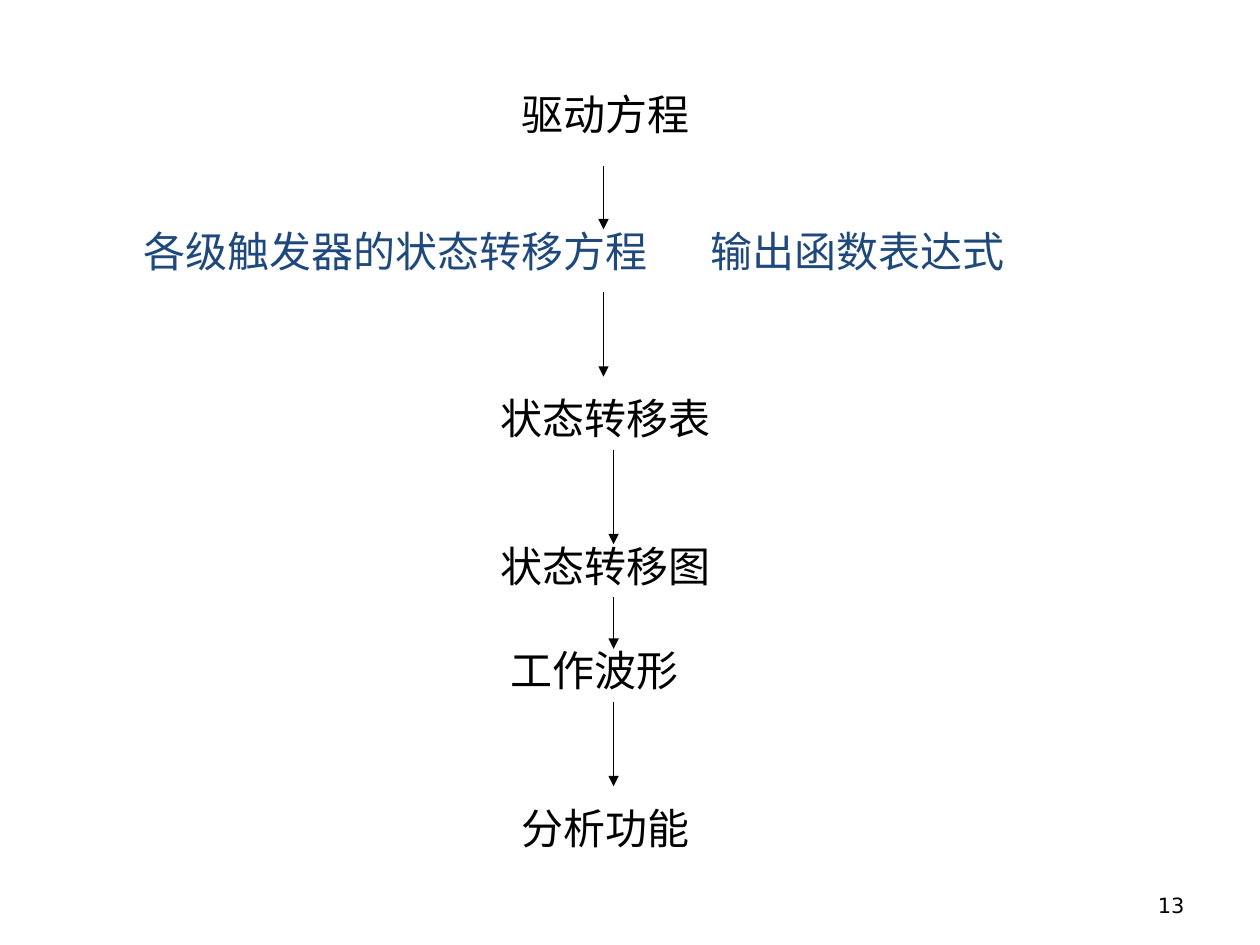
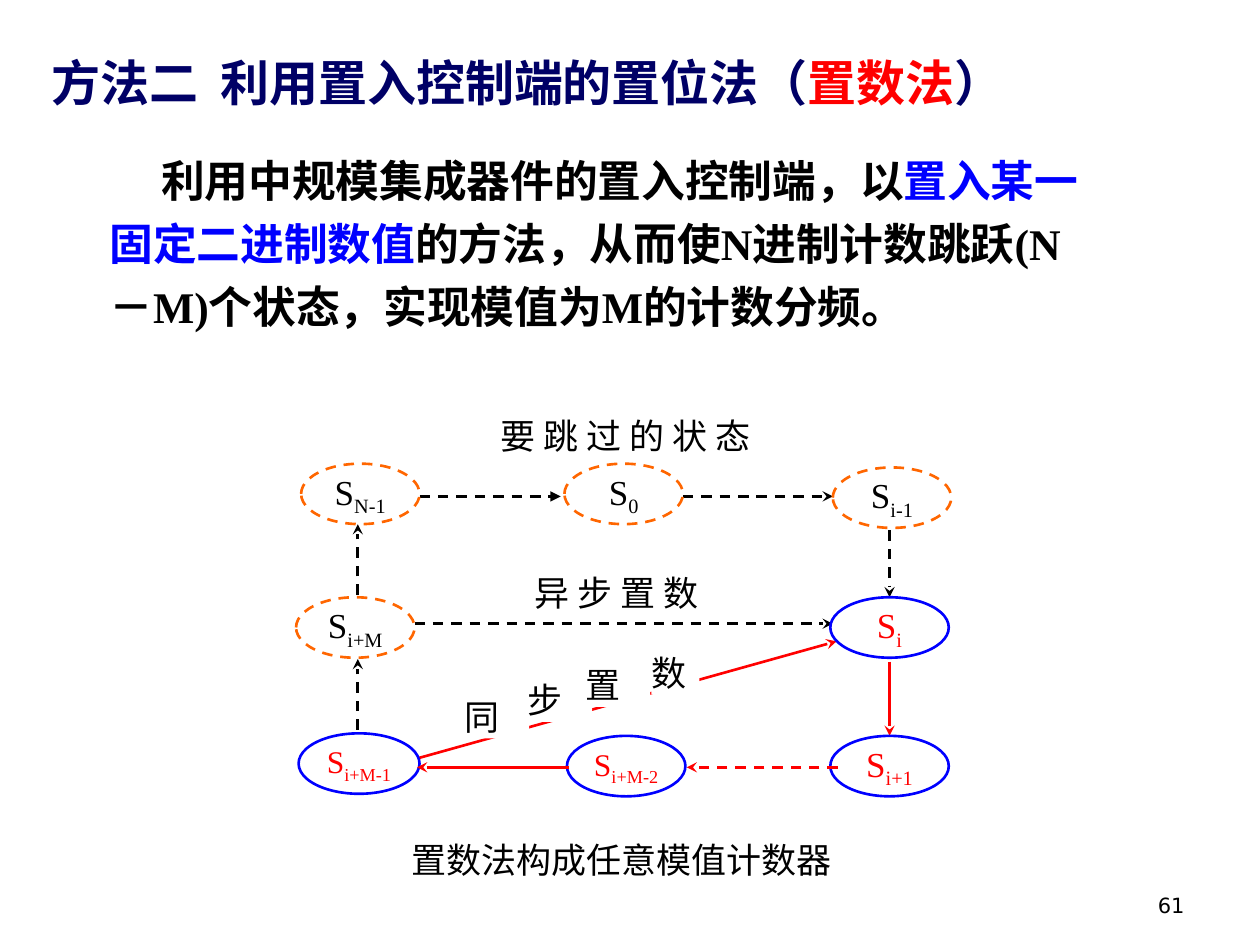
"""Build two slides on analysing counters and making them by parallel loading."""
from dataclasses import dataclass

import pptx
import pptx.dml.color
import pptx.enum.dml
import pptx.enum.shapes
import pptx.enum.text
import pptx.oxml
import pptx.oxml.ns
import pptx.util
from pptx.util import Inches

COLORS = {
    "black": "000000", "white": "FFFFFF", "slate": "1F497D", "navy": "000066",
    "red": "FF0000", "blue": "0000FF", "orange": "FF6600",
}
SERIF = "Times New Roman"
SANS = "DejaVu Sans"
ALIGN = pptx.enum.text.PP_ALIGN
ANCHOR = pptx.enum.text.MSO_ANCHOR
SHAPE = pptx.enum.shapes.MSO_SHAPE
DASH = pptx.enum.dml.MSO_LINE.DASH
NODE_H = 0.48
LABEL_H = 0.35


@dataclass(frozen=True)
class Run:
    text: str
    color: str = "black"
    subscript: bool = False


@dataclass(frozen=True)
class Step:
    text: str
    left: float
    top: float
    color: str = "black"


@dataclass(frozen=True)
class Arrow:
    x1: float
    y1: float
    x2: float
    y2: float
    color: str = "black"
    dashed: bool = False
    width: float = 1.5
    head: str = "stealth"


@dataclass(frozen=True)
class Label:
    text: str
    left: float
    top: float
    width: float
    height: float = LABEL_H
    align: ALIGN = ALIGN.CENTER


@dataclass(frozen=True)
class Node:
    index: str
    left: float
    top: float
    skipped: bool = False
    size: int = 20
    width: float = 0.94


STEPS = [
    Step("驱动方程", 4.04, 0.65),
    Step("各级触发器的状态转移方程", 1.04, 1.74, "slate"),
    Step("输出函数表达式", 5.54, 1.74, "slate"),
    Step("状态转移表", 3.87, 3.07),
    Step("状态转移图", 3.87, 4.24),
    Step("工作波形", 3.95, 5.07),
    Step("分析功能", 4.04, 6.32),
]
STEP_ARROWS = [
    Arrow(x, top, x, bottom, width=0.75, head="triangle")
    for x, top, bottom in [
        (4.79, 1.32, 1.82), (4.79, 2.32, 2.99), (4.87, 3.57, 4.32),
        (4.87, 4.74, 5.15), (4.87, 5.57, 6.24),
    ]
]
STATE_ARROWS = [
    Arrow(3.33, 3.94, 4.45, 3.94, dashed=True, head="triangle"),
    Arrow(5.42, 3.94, 6.61, 3.94, dashed=True),
    Arrow(7.06, 4.21, 7.06, 4.74, dashed=True),
    Arrow(7.06, 5.25, 7.06, 5.84, "red"),
    Arrow(2.84, 5.79, 2.84, 5.23, dashed=True),
    Arrow(2.84, 4.72, 2.84, 4.16, dashed=True),
    Arrow(3.29, 4.95, 6.61, 4.95, dashed=True),
    Arrow(3.31, 6.02, 6.64, 5.09, "red"),
]
RETURN_ARROWS = [
    Arrow(4.52, 6.09, 3.31, 6.09, "red"),
    Arrow(6.65, 6.09, 5.45, 6.09, "red", dashed=True),
]
LABELS = [
    Label("异 步 置 数", 3.81, 4.53, 2.17),
    Label("要 跳 过 的 状 态", 3.59, 3.28, 2.75),
    Label("置数法构成任意模值计数器", 2.32, 6.61, 5.23, 0.42),
    Label("同", 3.69, 5.51, 0.51, align=ALIGN.LEFT),
    Label("步", 4.19, 5.38, 0.51, align=ALIGN.LEFT),
    Label("置", 4.65, 5.26, 0.51, align=ALIGN.LEFT),
    Label("数", 5.17, 5.16, 0.38, align=ALIGN.LEFT),
]
NODES = [
    Node("N-1", 2.39, 3.68, skipped=True),
    Node("0", 4.48, 3.68, skipped=True),
    Node("i-1", 6.61, 3.71, skipped=True),
    Node("i", 6.59, 4.74),
    Node("i+1", 6.59, 5.84),
    Node("i+M-1", 2.37, 5.82, size=18, width=0.96),
    Node("i+M-2", 4.5, 5.84, size=18),
    Node("i+M", 2.35, 4.74, skipped=True),
]
TITLE = [Run("方法二\t利用置入控制端的置位法（", "navy"), Run("置数法", "red"), Run("）", "navy")]
BODY = [
    Run("利用中规模集成器件的置入控制端，以"),
    Run("置入某一固定二进制数值", "blue"),
    Run("的方法，从而使N进制计数跳跃(N－M)个状态，实现模值为M的计数分频。"),
]


def rgb(name: str) -> pptx.dml.color.RGBColor:
    return pptx.dml.color.RGBColor.from_string(COLORS[name])


def box(left: float, top: float, width: float, height: float) -> tuple:
    return Inches(left), Inches(top), Inches(width), Inches(height)


def add_runs(p, runs: list[Run], size: float, font: str = SERIF, bold: bool = False) -> None:
    for run in runs:
        r = p.add_run()
        r.text = run.text
        r.font.size = pptx.util.Pt(size)
        r.font.name = font
        r.font.bold = bold
        r.font.color.rgb = rgb(run.color)
        if run.subscript:
            r._r.get_or_add_rPr().set("baseline", "-25000")


def add_text(slide, place: tuple, runs: list[Run], size: float, font: str = SERIF,
             bold: bool = False, wrap: bool = True):
    sp = slide.shapes.add_textbox(*place)
    tf = sp.text_frame
    tf.word_wrap = wrap
    add_runs(tf.paragraphs[0], runs, size, font, bold)
    return tf


def add_number(slide, number: int) -> None:
    tf = add_text(slide, box(7.17, 6.83, 2.33, 0.5), [Run(str(number))], 12, SANS)
    tf.vertical_anchor = ANCHOR.BOTTOM
    tf.paragraphs[0].alignment = ALIGN.RIGHT


def add_arrow(slide, arrow: Arrow) -> None:
    sp = slide.shapes.add_connector(
        pptx.enum.shapes.MSO_CONNECTOR.STRAIGHT,
        *box(arrow.x1, arrow.y1, arrow.x2, arrow.y2))
    sp.line.color.rgb = rgb(arrow.color)
    sp.line.width = pptx.util.Pt(arrow.width)
    if arrow.dashed:
        sp.line.dash_style = DASH
    tail = pptx.oxml.parse_xml(
        f'<a:tailEnd {pptx.oxml.ns.nsdecls("a")} type="{arrow.head}"/>')
    sp.line._get_or_add_ln().append(tail)
    sp._element.spPr.append(
        pptx.oxml.parse_xml(f'<a:effectLst {pptx.oxml.ns.nsdecls("a")}/>'))


def add_shape(slide, kind: SHAPE, place: tuple, runs: list[Run], size: float,
              align: ALIGN = ALIGN.CENTER):
    sp = slide.shapes.add_shape(kind, *place)
    sp.shadow.inherit = False
    sp.fill.solid()
    sp.fill.fore_color.rgb = rgb("white")
    sp.line.fill.background()
    tf = sp.text_frame
    tf.margin_left = tf.margin_right = tf.margin_top = tf.margin_bottom = 0
    tf.vertical_anchor = ANCHOR.MIDDLE
    tf.word_wrap = False
    p = tf.paragraphs[0]
    p.alignment = align
    add_runs(p, runs, size)
    return sp


def add_label(slide, label: Label) -> None:
    place = box(label.left, label.top, label.width, label.height)
    sp = add_shape(slide, SHAPE.RECTANGLE, place, [Run(label.text)], 20, label.align)
    sp.text_frame.word_wrap = True


def add_node(slide, node: Node) -> None:
    color = "black" if node.skipped else "red"
    sp = add_shape(slide, SHAPE.OVAL, box(node.left, node.top, node.width, NODE_H),
                   [Run("S", color), Run(node.index, color, True)], node.size)
    sp.line.color.rgb = rgb("orange" if node.skipped else "blue")
    sp.line.width = pptx.util.Pt(1.5)
    if node.skipped:
        sp.line.dash_style = DASH


def set_title(slide) -> None:
    sp = slide.shapes.title
    sp.left, sp.top, sp.width, sp.height = box(0.31, 0.23, 8.67, 0.71)
    tf = sp.text_frame
    tf.auto_size = pptx.enum.text.MSO_AUTO_SIZE.NONE
    tf.vertical_anchor = ANCHOR.TOP
    tf.word_wrap = True
    p = tf.paragraphs[0]
    p.alignment = ALIGN.LEFT
    p.line_spacing = 1.3
    p._p.get_or_add_pPr().append(pptx.oxml.parse_xml(
        f'<a:tabLst {pptx.oxml.ns.nsdecls("a")}>'
        f'<a:tab pos="{Inches(1.34)}" algn="l"/></a:tabLst>'))
    add_runs(p, TITLE, 28, bold=True)


def add_body(slide) -> None:
    tf = add_text(slide, box(0.39, 1.09, 8.44, 2.11), BODY, 25, bold=True)
    p = tf.paragraphs[0]
    p.line_spacing = 1.2
    pPr = p._p.get_or_add_pPr()
    pPr.set("marL", str(Inches(0.38)))
    pPr.set("indent", str(Inches(0.41)))


def build_analysis(prs) -> None:
    slide = prs.slides.add_slide(prs.slide_layouts.get_by_name("Blank"))
    add_number(slide, 13)
    for step in STEPS:
        width = len(step.text) * 24 / 72 + 0.2
        add_text(slide, box(step.left, step.top, width, 0.5),
                 [Run(step.text, step.color)], 24, wrap=False)
    for arrow in STEP_ARROWS:
        add_arrow(slide, arrow)


def build_loading(prs) -> None:
    slide = prs.slides.add_slide(prs.slide_layouts.get_by_name("Title Only"))
    set_title(slide)
    add_number(slide, 61)
    add_body(slide)
    for draw, items in [(add_arrow, STATE_ARROWS), (add_label, LABELS),
                        (add_node, NODES), (add_arrow, RETURN_ARROWS)]:
        for item in items:
            draw(slide, item)


def main() -> None:
    prs = pptx.Presentation()
    prs.slide_width, prs.slide_height = Inches(10), Inches(7.5)
    build_analysis(prs)
    build_loading(prs)
    prs.save("out.pptx")


if __name__ == "__main__":
    main()
